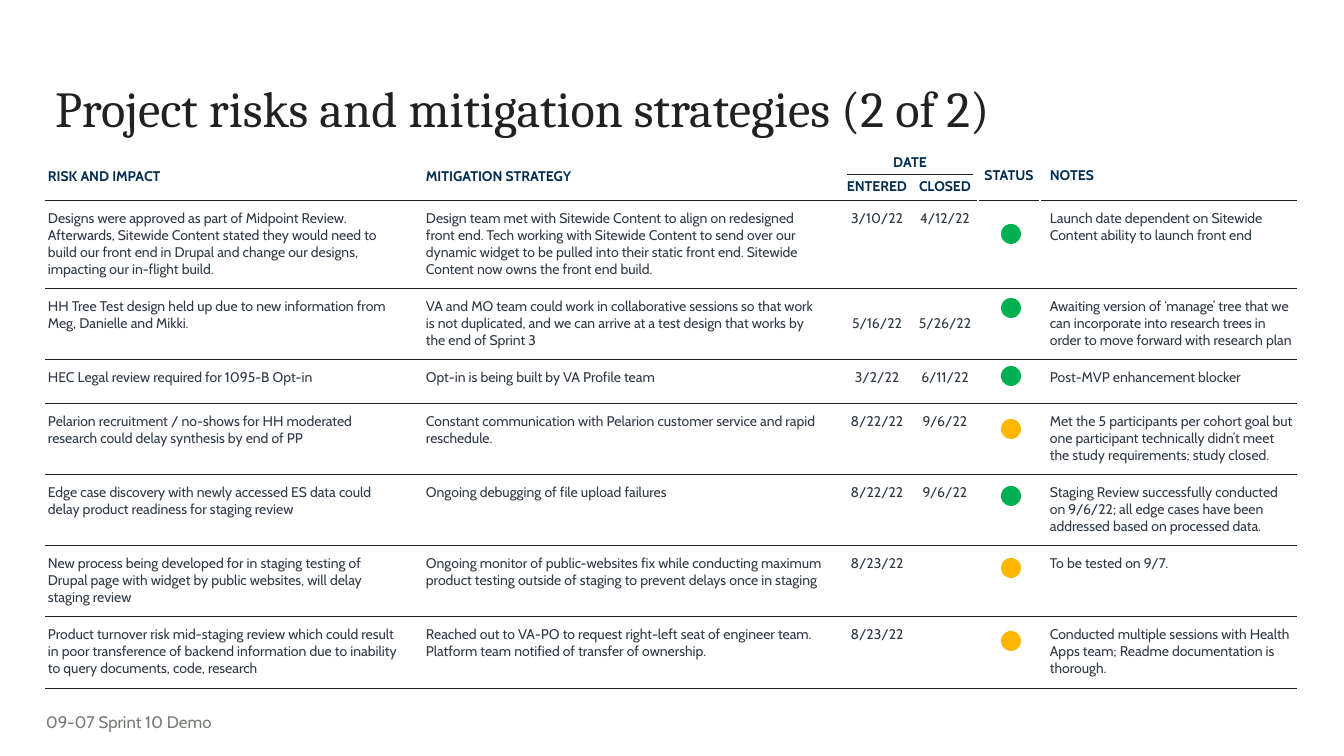
"""Build the project risks and mitigation strategies slide."""
from dataclasses import dataclass
from itertools import accumulate

from lxml import etree
from pptx import Presentation
from pptx.dml.color import RGBColor
from pptx.enum.shapes import MSO_CONNECTOR, MSO_SHAPE
from pptx.enum.text import MSO_ANCHOR, MSO_AUTO_SIZE, PP_ALIGN
from pptx.oxml.ns import qn
from pptx.util import Pt

LEFT, CENTER = PP_ALIGN.LEFT, PP_ALIGN.CENTER
TOP, MIDDLE = MSO_ANCHOR.TOP, MSO_ANCHOR.MIDDLE
STRAIGHT, OVAL = MSO_CONNECTOR.STRAIGHT, MSO_SHAPE.OVAL
NO_FIT = MSO_AUTO_SIZE.NONE


@dataclass(frozen=True)
class Theme:
    """Colours, fonts and type sizes of the slide."""
    ink: str = "202120"
    navy: str = "022D50"
    body: str = "303A46"
    muted: str = "747C74"
    white: str = "FFFFFF"
    green: str = "00B050"
    amber: str = "FEB600"
    title_font: str = "Cambria"
    text_font: str = "Cabin"
    title_size: int = 36
    footer_size: int = 12
    table_size: int = 10
    rule: float = 0.75
    gap: float = 1.5


THEME = Theme()
TITLE = "Project risks and mitigation strategies (2 of 2)"
FOOTER = "09-07 Sprint 10 Demo"
HEADERS = [
    ["RISK AND IMPACT", "MITIGATION STRATEGY", "DATE", "", "STATUS", "NOTES"],
    ["", "", "ENTERED", "CLOSED", "", ""],
]
RISKS = [
    ["Designs were approved as part of Midpoint Review. Afterwards, Sitewide Content stated they would "
     "need to build our front end in Drupal and change our designs, impacting our in-flight build.",
     "Design team met with Sitewide Content to align on redesigned front end. Tech working with Sitewide "
     "Content to send over our dynamic widget to be pulled into their static front end. Sitewide Content "
     "now owns the front end build.",
     "3/10/22", "4/12/22", "",
     "Launch date dependent on Sitewide Content ability to launch front end"],
    ["HH Tree Test design held up due to new information from Meg, Danielle and Mikki.",
     "VA and MO team could work in collaborative sessions so that work is not duplicated, and we can "
     "arrive at a test design that works by the end of Sprint 3",
     "5/16/22", "5/26/22", "",
     "Awaiting version of ‘manage’ tree that we can incorporate into research trees in order to move "
     "forward with research plan"],
    ["HEC Legal review required for 1095-B Opt-in",
     "Opt-in is being built by VA Profile team",
     "3/2/22", "6/11/22", "", "Post-MVP enhancement blocker"],
    ["Pelarion recruitment / no-shows for HH moderated research could delay synthesis by end of PP",
     "Constant communication with Pelarion customer service and rapid reschedule.",
     "8/22/22", "9/6/22", "",
     "Met the 5 participants per cohort goal but one participant technically didn’t meet the study "
     "requirements; study closed."],
    ["Edge case discovery with newly accessed ES data could delay product readiness for staging review",
     "Ongoing debugging of file upload failures",
     "8/22/22", "9/6/22", "",
     "Staging Review successfully conducted on 9/6/22; all edge cases have been addressed based on "
     "processed data."],
    ["New process being developed for in staging testing of Drupal page with widget by public websites, "
     "will delay staging review",
     "Ongoing monitor of public-websites fix while conducting maximum product testing outside of staging "
     "to prevent delays once in staging",
     "8/23/22", "", "", "To be tested on 9/7."],
    ["Product turnover risk mid-staging review which could result in poor transference of backend "
     "information due to inability to query documents, code, research",
     "Reached out to VA-PO to request right-left seat of engineer team. Platform team notified of "
     "transfer of ownership.",
     "8/23/22", "", "",
     "Conducted multiple sessions with Health Apps team; Readme documentation is thorough."],
]
STATUSES = [
    (THEME.green, 26), (THEME.green, 12), (THEME.green, 9), (THEME.amber, 18),
    (THEME.green, 14), (THEME.amber, 15), (THEME.amber, 17),
]
COLUMNS = [378, 419, 70, 66, 62, 257]
ROWS = [24, 23, 88, 71, 44, 71, 71, 71, 72]
TABLE_LEFT, TABLE_TOP = 45, 151
DOT = 20
DATE_COLUMNS = (2, 3)
STATUS_COLUMN, NOTES_COLUMN = 4, 5
MIDDLE_RISK = 3


def px(length):
    """Turn px into EMU."""
    return round(length * 914400 / 100.8)


def style(paragraph, font, size, color, bold=False):
    """Format every run of a paragraph."""
    for span in paragraph.runs:
        span.font.name = font
        span.font.size = Pt(size)
        span.font.bold = bold
        span.font.color.rgb = RGBColor.from_string(color)


def set_insets(target, left, top, right, bottom):
    """Set the margins of a cell or text frame."""
    target.margin_left, target.margin_top = px(left), px(top)
    target.margin_right, target.margin_bottom = px(right), px(bottom)


def set_borders(cell, borders):
    """Draw the four sides of a cell, None meaning no line."""
    properties = cell._tc.get_or_add_tcPr()
    for side in "LRTB":
        color, width = borders.get(side) or (None, 0)
        line = etree.SubElement(properties, qn(f"a:ln{side}"), w=str(Pt(width)))
        if color:
            fill = etree.SubElement(line, qn("a:solidFill"))
            etree.SubElement(fill, qn("a:srgbClr"), val=color)
        else:
            etree.SubElement(line, qn("a:noFill"))


def cell_borders(row, column):
    """Choose the lines around one cell."""
    dark, thin, wide = (THEME.ink, THEME.rule), (THEME.white, THEME.rule), (THEME.white, THEME.gap)
    if row < len(HEADERS):
        open_bottom = row == 0 and column in DATE_COLUMNS
        return {"L": thin, "R": thin if column < NOTES_COLUMN else None,
                "B": None if open_bottom else dark}
    return {"L": wide if column >= STATUS_COLUMN else None,
            "R": wide if DATE_COLUMNS[1] <= column < NOTES_COLUMN else None,
            "T": dark, "B": dark}


def fill_cell(cell, text, row, column):
    """Write and format one table cell."""
    header = row < len(HEADERS)
    centered = column in DATE_COLUMNS or column == STATUS_COLUMN
    pad = 3 if header or column == STATUS_COLUMN else 10
    right = 3 if header or column >= DATE_COLUMNS[0] else 20
    set_insets(cell, 10 if column == NOTES_COLUMN else 3, pad, right, pad)
    if header:
        cell.vertical_anchor = TOP if column in DATE_COLUMNS else MIDDLE
    else:
        cell.vertical_anchor = MIDDLE if row == MIDDLE_RISK and column > 0 else TOP
    para = cell.text_frame.paragraphs[0]
    para.text = text
    para.alignment = CENTER if centered else LEFT
    if header and column < DATE_COLUMNS[0]:
        para.line_spacing = 1.15
    style(para, THEME.text_font, THEME.table_size, THEME.navy if header else THEME.body, header)
    if not text:
        etree.SubElement(para._p, qn("a:endParaRPr"), sz=str(THEME.table_size * 100))
    set_borders(cell, cell_borders(row, column))
    cell.fill.background()


def add_risk_table(page):
    """Add the table of risks."""
    content = HEADERS + RISKS
    frame = page.shapes.add_table(len(ROWS), len(COLUMNS), px(TABLE_LEFT), px(TABLE_TOP),
                                  px(sum(COLUMNS)), px(sum(ROWS)))
    table = frame.table
    table.first_row = table.horz_banding = False
    for column, width in zip(table.columns, COLUMNS):
        column.width = px(width)
    for row, height in zip(table.rows, ROWS):
        row.height = px(height)
    for row, texts in enumerate(content):
        for column, text in enumerate(texts):
            fill_cell(table.cell(row, column), text, row, column)
    table.cell(0, DATE_COLUMNS[0]).merge(table.cell(0, DATE_COLUMNS[1]))
    for column in range(len(COLUMNS)):
        if column not in DATE_COLUMNS:
            table.cell(0, column).merge(table.cell(1, column))


def add_date_rule(page):
    """Add the line under the date heading."""
    rule = page.shapes.add_connector(STRAIGHT, px(847), px(175), px(973), px(175))
    rule.line.color.rgb = RGBColor.from_string(THEME.ink)
    rule.line.width = Pt(THEME.rule)
    etree.SubElement(rule._element.spPr, qn("a:effectLst"))


def add_status_dots(page):
    """Add one status dot per risk."""
    tops = list(accumulate(ROWS, initial=TABLE_TOP))[len(HEADERS):]
    for top, (color, offset) in zip(tops, STATUSES):
        dot = page.shapes.add_shape(OVAL, px(1001), px(top + offset), px(DOT), px(DOT))
        dot.shadow.inherit = False
        dot.fill.solid()
        dot.fill.fore_color.rgb = RGBColor.from_string(color)
        dot.line.fill.background()


def write_box(box, text, place, left_inset, font, size, color):
    """Place and format a one-line text shape."""
    box.left, box.top, box.width, box.height = map(px, place)
    frame = box.text_frame
    frame.text = text
    frame.word_wrap = True
    frame.auto_size = NO_FIT
    frame.vertical_anchor = TOP
    set_insets(frame, left_inset, 5, 10, 5)
    frame.paragraphs[0].alignment = LEFT
    style(frame.paragraphs[0], font, size, color)


def main():
    """Build and save the deck."""
    deck = Presentation()
    deck.slide_width, deck.slide_height = px(1344), px(756)
    page = deck.slides.add_slide(deck.slide_layouts[5])
    title = page.shapes.title
    write_box(title, TITLE, (45, 79, 1252, 83), 10, THEME.title_font, THEME.title_size, THEME.ink)
    title.text_frame.paragraphs[0].line_spacing = 0.9
    add_risk_table(page)
    add_date_rule(page)
    add_status_dots(page)
    footer = page.shapes.add_textbox(0, 0, 0, 0)
    write_box(footer, FOOTER, (46, 707, 300, 30), 0, THEME.text_font, THEME.footer_size, THEME.muted)
    deck.save("out.pptx")


if __name__ == "__main__":
    main()
